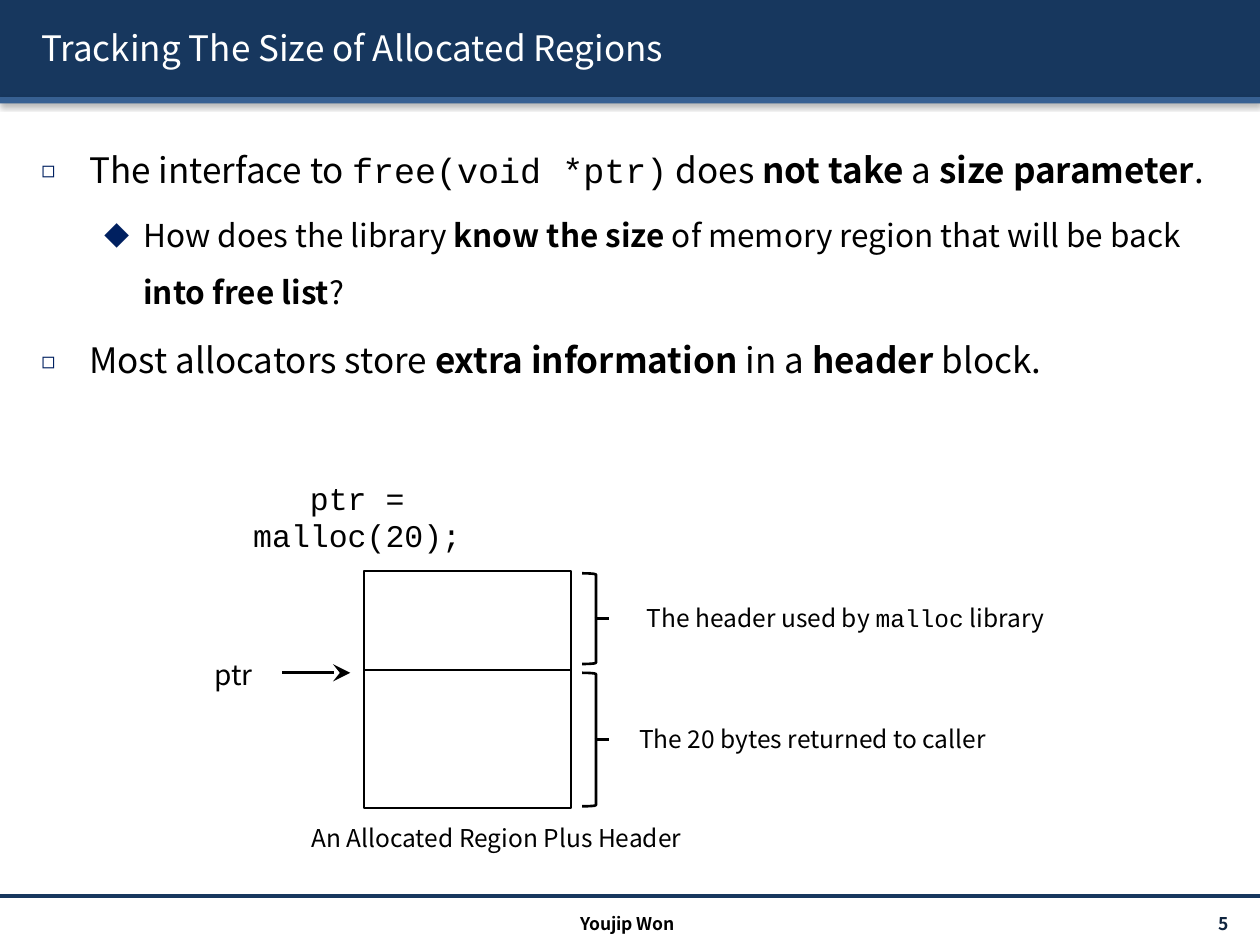
from lxml import etree
from pptx import Presentation
from pptx import util as u
from pptx.dml.color import RGBColor
from pptx.enum import shapes, text
from pptx.oxml.ns import qn

NAVY = RGBColor(0x17, 0x37, 0x5E)
BLUE = RGBColor(0x37, 0x60, 0x92)
DARK = RGBColor(0x0F, 0x24, 0x3E)
MARK = RGBColor(0x00, 0x20, 0x60)
BLACK = RGBColor(0, 0, 0)
WHITE = RGBColor(255, 255, 255)

SANS, CODE = "Noto Sans CJK KR", "Courier New"
LEFT, MID, RIGHT = text.PP_ALIGN.LEFT, text.PP_ALIGN.CENTER, text.PP_ALIGN.RIGHT
TOP, CENTRE = text.MSO_ANCHOR.TOP, text.MSO_ANCHOR.MIDDLE
KIND = shapes.MSO_SHAPE


def node(root, tag, **attrs):
    return etree.SubElement(root, qn("a:" + tag), {k: str(v) for k, v in attrs.items()})


def shade(root, alpha, blur, dist):
    """Cast a shadow straight down; blur and distance in points."""
    cast = node(root, "outerShdw", blurRad=int(u.Pt(blur)), dist=int(u.Pt(dist)),
                dir=5400000, algn="t", rotWithShape=0)
    node(node(cast, "srgbClr", val=BLACK), "alpha", val=alpha * 1000)


class Deck:
    """Holds the style and the slide; lengths are cells of a 100 by 75 grid."""

    def __init__(self):
        self.show = Presentation()
        self.show.slide_width, self.show.slide_height = u.Inches(10), u.Inches(7.5)
        self.cell = self.show.slide_width / 100
        self.slide = self.show.slides.add_slide(self.show.slide_layouts[6])

    def grid(self, *cells):
        return [round(c * self.cell) for c in cells]

    def shape(self, kind, at, fill=None, line=None, shadow=False):
        form = self.slide.shapes.add_shape(kind, *self.grid(*at))
        form.shadow.inherit = False
        if fill is None:
            form.fill.background()
        else:
            form.fill.solid()
            form.fill.fore_color.rgb = fill
        if line:
            form.line.color.rgb = BLACK
            form.line.width = u.Pt(line)
        else:
            form.line.fill.background()
        if shadow:
            shade(form._element.spPr.find(qn("a:effectLst")), 38, 3.1, 1.6)

    def line(self, x, y, end, color=BLACK, width=1.5, arrow=False):
        rule = self.slide.shapes.add_connector(
            shapes.MSO_CONNECTOR.STRAIGHT, *self.grid(x, y, end, y))
        rule.line.color.rgb = color
        rule.line.width = u.Pt(width)
        if arrow:
            node(rule.line._get_or_add_ln(), "tailEnd", type="stealth", w="lg", len="lg")
        node(rule._element.spPr, "effectLst")

    def frame(self, at, anchor=TOP):
        box = self.slide.shapes.add_textbox(*self.grid(*at)).text_frame
        box.word_wrap = True
        box.vertical_anchor = anchor
        return box

    def run(self, para, words, size, color=BLACK, font=SANS, bold=False, shadow=False):
        run = para.add_run()
        run.text = words
        run.font.size = u.Pt(size)
        run.font.bold = bold
        run.font.color.rgb = color
        if shadow:
            shade(node(run.font._element, "effectLst"), 100, 1, 1.5)
        run.font.name = font

    def label(self, at, runs, size, align=MID, anchor=TOP, **style):
        para = self.frame(at, anchor).paragraphs[0]
        para.alignment = align
        for words, font in runs:
            self.run(para, words, size, font=font, **style)

    def bullets(self, at, items):
        box = self.frame(at)
        for i, (level, runs) in enumerate(items):
            para = box.add_paragraph() if i else box.paragraphs[0]
            indent, hang, sign, scale, size = LEVELS[level]
            para.level = level
            para.line_spacing = 1.5
            para.space_before = u.Pt(4 if i else 0)
            props = para._p.get_or_add_pPr()
            props.set("marL", str(u.Inches(indent)))
            props.set("indent", str(-u.Inches(hang)))
            node(node(props, "buClr"), "srgbClr", val=MARK)
            node(props, "buSzPct", val=scale * 1000)
            node(props, "buFont", typeface=SANS)
            node(props, "buChar", char=sign)
            for words, *style in runs:
                self.run(para, words, size, bold="bold" in style,
                         font=CODE if "code" in style else SANS)


# Indent, hanging part, bullet, bullet size in percent, text size
LEVELS = [(0.38, 0.38, "◻", 65, 20), (0.81, 0.31, "◆", 80, 18)]

POINTS = [
    (0, [("The interface to ",), ("free(void *ptr)", "code"), (" does ",),
         ("not take", "bold"), (" a ",), ("size parameter", "bold"), (".",)]),
    (1, [("How does the library ",), ("know the size", "bold"),
         (" of memory region that will be back ",), ("into free list", "bold"), ("?",)]),
    (0, [("Most allocators store ",), ("extra information", "bold"), (" in a ",),
         ("header", "bold"), (" block.",)]),
]

# Block top and height, bracket top and height, tick row, note box, note runs
BLOCKS = [
    (45.3, 7.9, 45.5, 7.2, 49.1, (49.5, 47.4, 35.2, 3.4),
     [("The header used by ", SANS), ("malloc", CODE), (" library", SANS)]),
    (53.2, 10.9, 53.4, 10.6, 58.7, (49.5, 57, 30, 3.4),
     [("The 20 bytes returned to caller", SANS)]),
]


def main():
    deck = Deck()

    # Title band and footer rule
    deck.shape(KIND.RECTANGLE, (0, 0, 100, 7.7), NAVY, shadow=True)
    deck.shape(KIND.RECTANGLE, (0, 7.7, 100, 0.5), BLUE, shadow=True)
    deck.line(0, 71.1, 100, NAVY, 2)
    deck.label((2.3, 0.6, 96.1, 6.4), [("Tracking The Size of Allocated Regions", SANS)],
               20, LEFT, CENTRE, color=WHITE, shadow=True)

    # Body
    deck.bullets((2.3, 9.6, 96.1, 60.2), POINTS)

    # Memory blocks with brackets and notes
    for top, high, start, span, tick, place, note in BLOCKS:
        deck.shape(KIND.RECTANGLE, (28.9, top, 16.4, high), WHITE, line=1)
        deck.shape(KIND.RIGHT_BRACKET, (46.2, start, 1.1, span), line=1.5)
        deck.line(47.2, tick, 48.3)
        deck.label(place, note, 14)

    # Pointer, call and caption
    deck.label((14.6, 51.7, 7.9, 3.4), [("ptr", SANS)], 16)
    deck.line(22.4, 53.4, 27.8, arrow=True)
    deck.label((15.6, 37.5, 25.5, 3.4), [("ptr = malloc(20);", CODE)], 18)
    deck.label((22, 64.8, 34.8, 3.4), [("An Allocated Region Plus Header", SANS)], 14)

    # Footer
    deck.label((33.2, 72, 33.2, 2.4), [("Youjip Won", SANS)], 10, bold=True)
    deck.label((87.1, 72.1, 11.4, 2.4), [("5", SANS)], 10, RIGHT, CENTRE,
               color=DARK, bold=True)

    deck.show.save("out.pptx")


if __name__ == "__main__":
    main()
